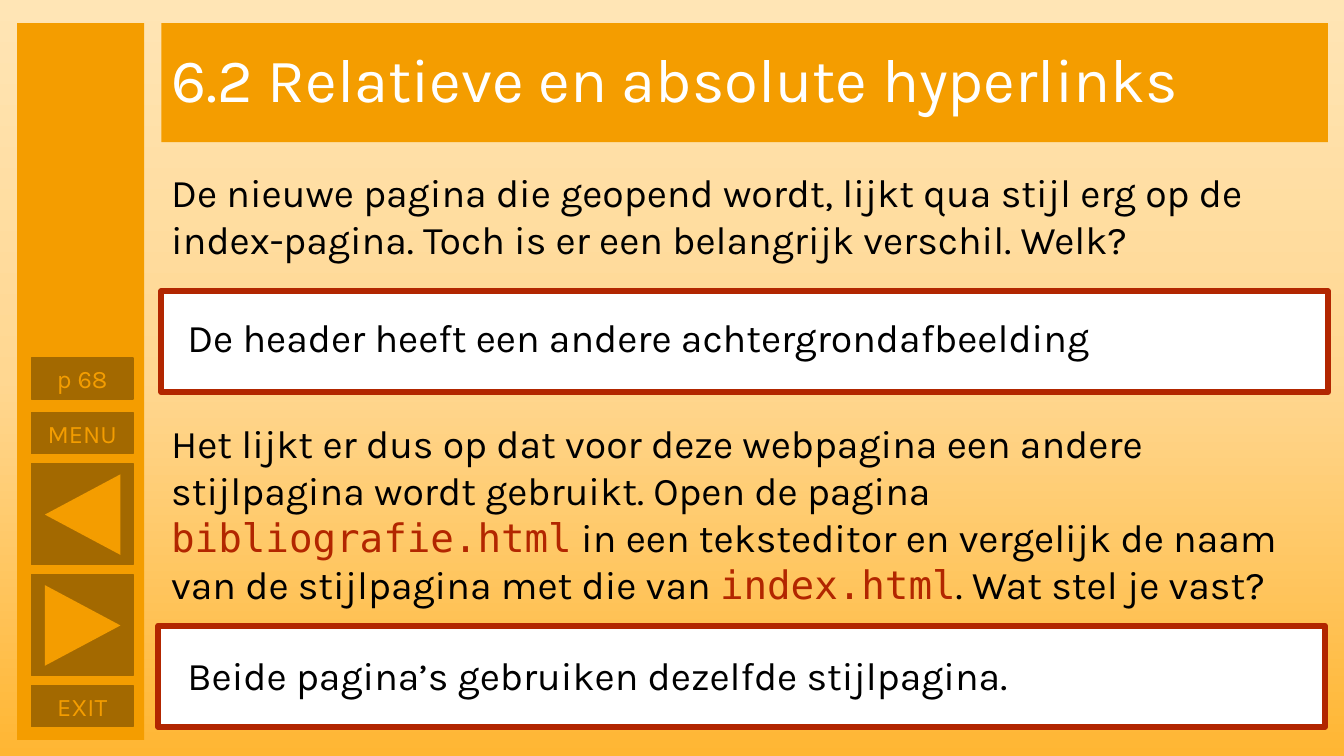
from copy import deepcopy

from pptx import Presentation
from pptx.dml.color import RGBColor
from pptx.enum.shapes import MSO_SHAPE as SHAPE
from pptx.enum.text import MSO_ANCHOR as ANCHOR, PP_ALIGN as ALIGN
from pptx.oxml.ns import qn
from pptx.util import Inches, Pt

COLORS = {
    "orange": "F49D00", "brown": "A36900", "red": "B22600",
    "white": "FFFFFF", "black": "000000",
    "top": "FFE5B5", "middle": "FFD791", "bottom": "FFB633",
}
SANS, MONO = "Karla", "DejaVu Sans Mono"


def rgb(name):
    return RGBColor.from_string(COLORS[name])


def write(shape, text, size=28, color="black", align=None, anchor=ANCHOR.TOP, spacing=None):
    """Fill one paragraph; parts between backticks are set as red code."""
    frame = shape.text_frame
    frame.word_wrap = True
    frame.vertical_anchor = anchor
    para = frame.paragraphs[0]
    para.alignment = align
    para.line_spacing = spacing
    for i, part in enumerate(text.split("`")):
        code = i % 2 == 1
        run = para.add_run()
        run.text = part
        run.font.size = Pt(size)
        run.font.name = MONO if code else SANS
        run.font.color.rgb = rgb("red" if code else color)


def add_box(slide, box, fill, line=None, width=1, kind=SHAPE.RECTANGLE):
    shape = slide.shapes.add_shape(kind, *map(Inches, box))
    shape.shadow.inherit = False
    shape.fill.solid()
    shape.fill.fore_color.rgb = rgb(fill)
    if line:
        shape.line.color.rgb = rgb(line)
        shape.line.width = Pt(width)
    else:
        shape.line.fill.background()
    return shape


def add_text(slide, box, text):
    write(slide.shapes.add_textbox(*map(Inches, box)), text)


def paint_back(slide):
    fill = slide.background.fill
    fill.gradient()
    fill.gradient_angle = 270
    stops = slide.element.find(".//" + qn("a:gsLst"))
    stops.insert(1, deepcopy(stops[0]))
    for stop, name, place in zip(fill.gradient_stops, ("top", "middle", "bottom"), (0, 0.5, 1)):
        stop.color.rgb = rgb(name)
        stop.position = place


def set_title(slide, box, text):
    title = slide.shapes.title
    title.left, title.top, title.width, title.height = map(Inches, box)
    title.fill.solid()
    title.fill.fore_color.rgb = rgb("orange")
    write(title, text, size=44, color="white", align=ALIGN.LEFT, anchor=ANCHOR.MIDDLE, spacing=0.9)


def add_label(slide, box, text):
    button = add_box(slide, box, "brown", "brown")
    write(button, text, size=18, color="orange", align=ALIGN.CENTER, anchor=ANCHOR.MIDDLE)


def add_arrow(slide, box, turn):
    left, top, _, _ = box
    add_box(slide, box, "brown", "brown")
    arrow = add_box(slide, (left + 0.11, top + 0.13, 0.8, 0.75), "orange",
                    kind=SHAPE.ISOSCELES_TRIANGLE)
    arrow.rotation = turn


def add_menu(slide, box):
    left, top, _, _ = box
    add_box(slide, box, "orange")
    for drop, text in ((3.32, "p 68"), (3.86, "MENU"), (6.57, "EXIT")):
        add_label(slide, (left + 0.14, top + drop, 1.01, 0.41), text)
    for drop, turn in ((4.37, 270), (5.47, 90)):
        add_arrow(slide, (left + 0.14, top + drop, 1.01, 1), turn)


def add_answer(slide, box, text, inset, drop):
    left, top, width, _ = box
    add_box(slide, box, "white", "red", 4.5)
    add_text(slide, (left + inset, top + drop, width, 0.57), text)


def main():
    deck = Presentation()
    deck.slide_width, deck.slide_height = Inches(13.33), Inches(7.5)
    slide = deck.slides.add_slide(deck.slide_layouts[5])
    left, width = 1.6, 11.57

    paint_back(slide)
    set_title(slide, (left, 0.23, width, 1.18), "6.2 Relatieve en absolute hyperlinks")
    add_menu(slide, (0.17, 0.23, 1.26, 7.11))
    add_text(slide, (left, 1.62, width, 1.04),
             "De nieuwe pagina die geopend wordt, lijkt qua stijl erg op de "
             "index-pagina. Toch is er een belangrijk verschil. Welk?")
    add_answer(slide, (left, 2.89, width, 1),
               "De header heeft een andere achtergrondafbeelding", 0.16, 0.17)
    add_text(slide, (left, 4.11, width, 1.99),
             "Het lijkt er dus op dat voor deze webpagina een andere stijlpagina "
             "wordt gebruikt. Open de pagina `bibliografie.html` in een teksteditor "
             "en vergelijk de naam van de stijlpagina met die van `index.html`. "
             "Wat stel je vast?")
    add_answer(slide, (1.57, 6.21, width, 1),
               "Beide pagina’s gebruiken dezelfde stijlpagina.", 0.19, 0.2)
    deck.save("out.pptx")


if __name__ == "__main__":
    main()
